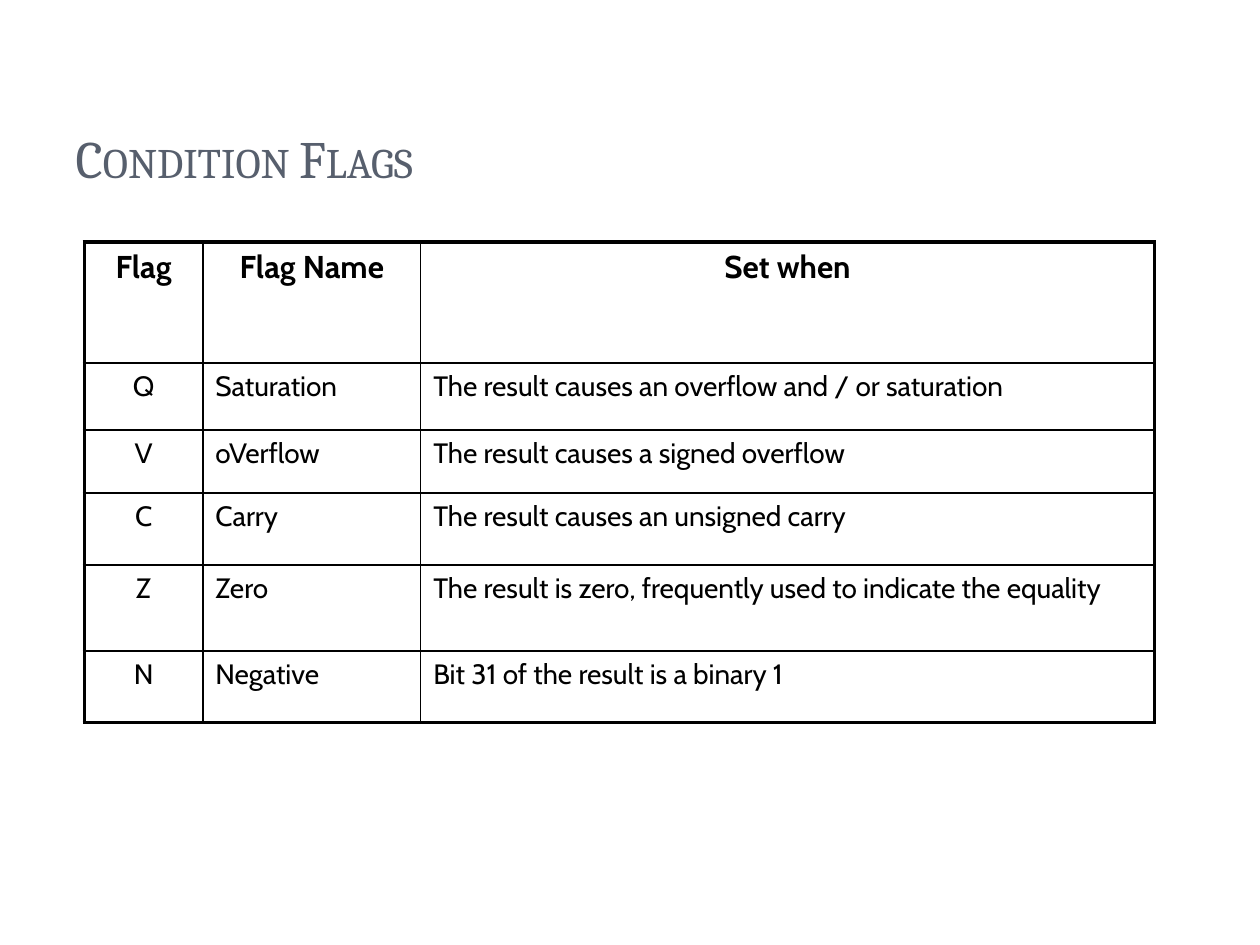
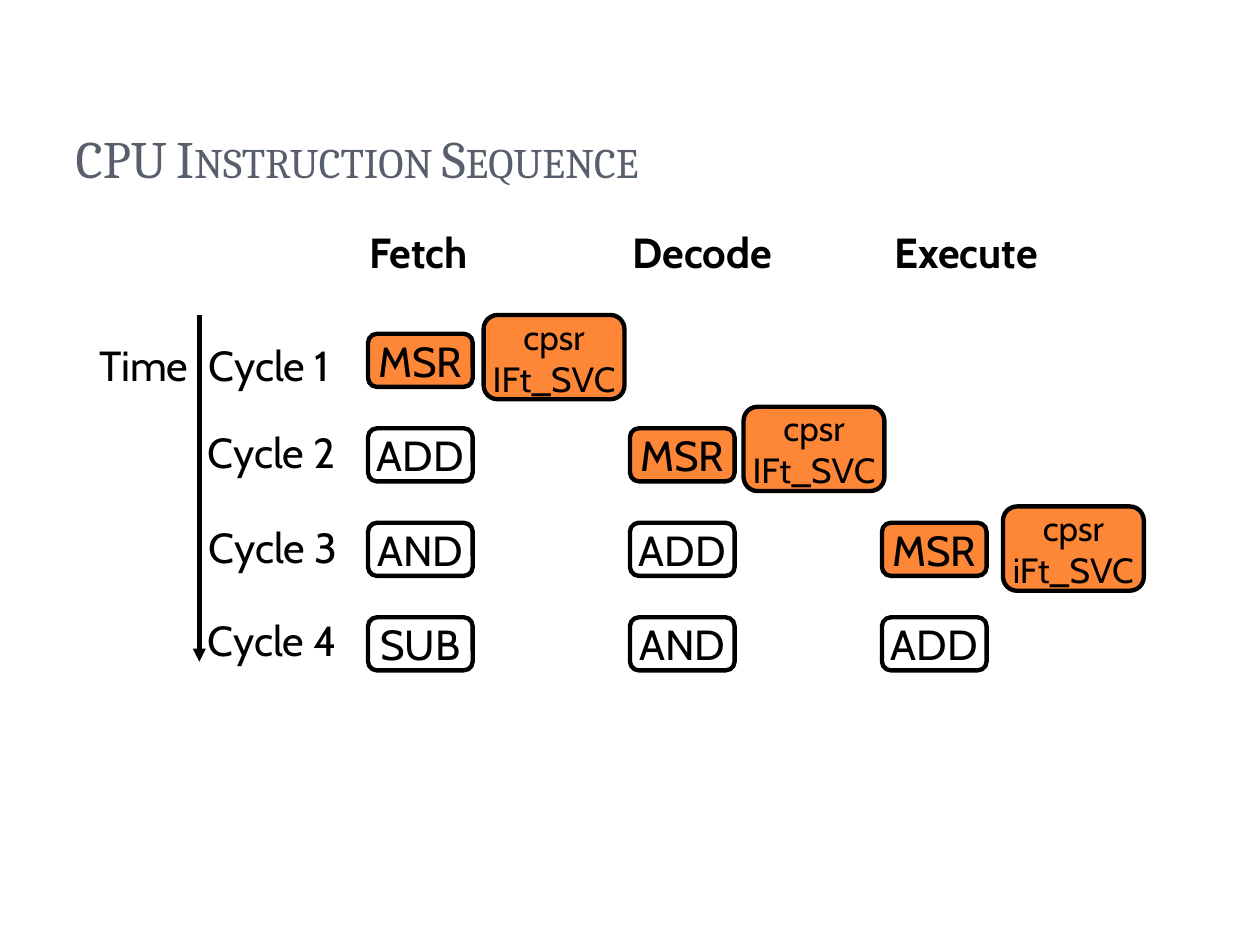
from lxml.etree import SubElement
from pptx import Presentation
from pptx.dml.color import RGBColor
from pptx.enum.shapes import MSO_CONNECTOR, MSO_SHAPE
from pptx.enum.text import MSO_ANCHOR, PP_ALIGN
from pptx.oxml import parse_xml
from pptx.oxml.ns import nsdecls, qn
from pptx.util import Cm, Pt

COLORS = {"title": "575F6D", "ink": "000000", "highlight": "FE8637"}

# Font formats
TITLE = {"name": "Cambria", "size": Pt(30), "bold": False}
TABLE_HEAD = {"name": "Cabin", "size": Pt(18), "bold": True}
TABLE_BODY = {"name": "Cabin", "size": Pt(16), "bold": False}
STAGE = {"name": "Cabin", "size": Pt(24), "bold": True}
LABEL = {"name": "Cabin", "size": Pt(24), "bold": False}
STATUS = {"name": "Cabin", "size": Pt(20), "bold": False}


def write_text(text_frame, text, font_format, color="ink", alignment=PP_ALIGN.LEFT):
    text_frame.text = text
    for paragraph in text_frame.paragraphs:
        paragraph.alignment = alignment
        for run in paragraph.runs:
            for name, value in font_format.items():
                setattr(run.font, name, value)
            run.font.color.rgb = RGBColor.from_string(COLORS[color])


def add_titled_slide(presentation, text):
    slide = presentation.slides.add_slide(presentation.slide_layouts[5])
    title = slide.shapes.title
    place = {"left": Cm(1.27), "top": Cm(0.76), "width": Cm(20.75), "height": Cm(3.18)}
    for name, value in place.items():
        setattr(title, name, value)
    title.text_frame.vertical_anchor = MSO_ANCHOR.BOTTOM
    write_text(title.text_frame, text, TITLE, "title")
    title.text_frame.paragraphs[0].runs[0].font._element.set("cap", "small")
    return slide


presentation = Presentation()
presentation.slide_width = Cm(25.4)
presentation.slide_height = Cm(19.05)

# Slide 1: condition flags
slide = add_titled_slide(presentation, "Condition Flags")
flag_rows = [
    ("Flag", "Flag Name", "Set when"),
    ("Q", "Saturation", "The result causes an overflow and / or saturation"),
    ("V", "oVerflow", "The result causes a signed overflow"),
    ("C", "Carry", "The result causes an unsigned carry"),
    ("Z", "Zero", "The result is zero, frequently used to indicate the equality"),
    ("N", "Negative", "Bit 31 of the result is a binary 1"),
]
column_widths = [2.39, 4.39, 14.79]
row_heights = [2.44, 1.35, 1.27, 1.45, 1.73, 1.45]
table = slide.shapes.add_table(
    len(row_heights), len(column_widths), Cm(1.7), Cm(4.88),
    Cm(sum(column_widths)), Cm(sum(row_heights))).table
table.first_row = table.horz_banding = False
for column, width in zip(table.columns, column_widths):
    column.width = Cm(width)
for row, height in zip(table.rows, row_heights):
    row.height = Cm(height)

last_row, last_column = len(row_heights) - 1, len(column_widths) - 1
for row_index, texts in enumerate(flag_rows):
    for column_index, text in enumerate(texts):
        cell = table.cell(row_index, column_index)
        centered = row_index == 0 or column_index == 0
        write_text(cell.text_frame, text, TABLE_BODY if row_index else TABLE_HEAD,
                   alignment=PP_ALIGN.CENTER if centered else PP_ALIGN.LEFT)
        cell.fill.background()

        # Thick outer frame, thin inner lines
        outer_sides = {"lnL": column_index == 0, "lnR": column_index == last_column,
                       "lnT": row_index == 0, "lnB": row_index == last_row}
        properties = cell._tc.get_or_add_tcPr()
        for position, (side, is_outer) in enumerate(outer_sides.items()):
            width = Pt(2.25) if is_outer else Pt(1)
            properties.insert(position, parse_xml(
                f'<a:{side} {nsdecls("a")} w="{width}"><a:solidFill>'
                f'<a:srgbClr val="{COLORS["ink"]}"/></a:solidFill></a:{side}>'))

# Slide 2: pipeline
slide = add_titled_slide(presentation, "CPU Instruction Sequence")

# Instructions enter one stage later in each column
instructions = ["MSR", "ADD", "AND", "SUB"]
stage_lefts = [7.42, 12.7, 17.78]
boxes = []
for stage, left in enumerate(stage_lefts):
    for cycle in range(stage, len(instructions)):
        instruction = instructions[cycle - stage]
        boxes.append((instruction, left, 6.73 + 1.905 * cycle, 2.11, 1.07,
                      LABEL, instruction == "MSR"))

# Status register beside each MSR
for text, left, top in [("cpsr\nIFt_SVC", 9.75, 6.35),
                        ("cpsr\nIFt_SVC", 14.99, 8.2),
                        ("cpsr\niFt_SVC", 20.22, 10.21)]:
    boxes.append((text, left, top, 2.84, 1.7, STATUS, True))

for text, left, top, width, height, font_format, highlighted in boxes:
    shape = slide.shapes.add_shape(MSO_SHAPE.ROUNDED_RECTANGLE, Cm(left), Cm(top),
                                   Cm(width), Cm(height))
    shape.shadow.inherit = False
    if highlighted:
        shape.fill.solid()
        shape.fill.fore_color.rgb = RGBColor.from_string(COLORS["highlight"])
    else:
        shape.fill.background()
    shape.line.color.rgb = RGBColor.from_string(COLORS["ink"])
    shape.line.width = Pt(2.5)
    shape.text_frame.word_wrap = False
    shape.text_frame.vertical_anchor = MSO_ANCHOR.MIDDLE
    write_text(shape.text_frame, text, font_format, alignment=PP_ALIGN.CENTER)

# Stage and cycle labels
labels = [
    ("Fetch", 7.19, 4.45, 3.18, STAGE),
    ("Decode", 12.5, 4.45, 4.01, STAGE),
    ("Execute", 17.78, 4.45, 4.24, STAGE),
    ("Time", 1.75, 6.71, 3.61, LABEL),
    ("Cycle 1", 3.96, 6.71, 3.61, LABEL),
    ("Cycle 2", 3.94, 8.48, 3.61, LABEL),
    ("Cycle 3", 3.96, 10.39, 3.61, LABEL),
    ("Cycle 4", 3.94, 12.27, 3.61, LABEL),
]
for text, left, top, width, font_format in labels:
    text_box = slide.shapes.add_textbox(Cm(left), Cm(top), Cm(width), Cm(1.27))
    text_box.text_frame.word_wrap = True
    write_text(text_box.text_frame, text, font_format)

# Time arrow
arrow = slide.shapes.add_connector(MSO_CONNECTOR.STRAIGHT, Cm(4.02), Cm(6.35),
                                   Cm(4.02), Cm(13.34))
arrow.line.color.rgb = RGBColor.from_string(COLORS["ink"])
arrow.line.width = Pt(2.5)
SubElement(arrow.line._get_or_add_ln(), qn("a:tailEnd"), type="triangle")
SubElement(arrow._element.spPr, qn("a:effectLst"))

presentation.save("out.pptx")
